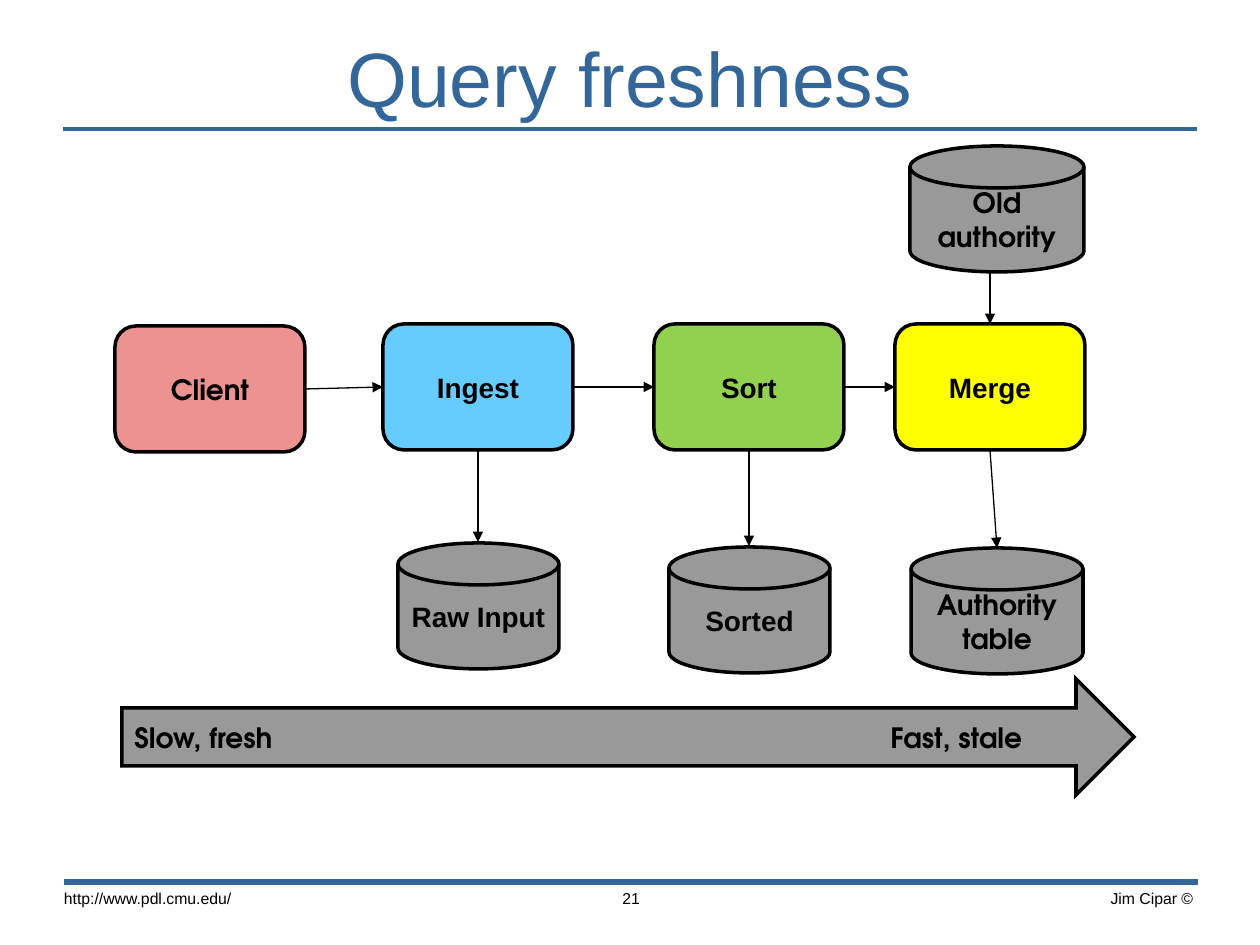
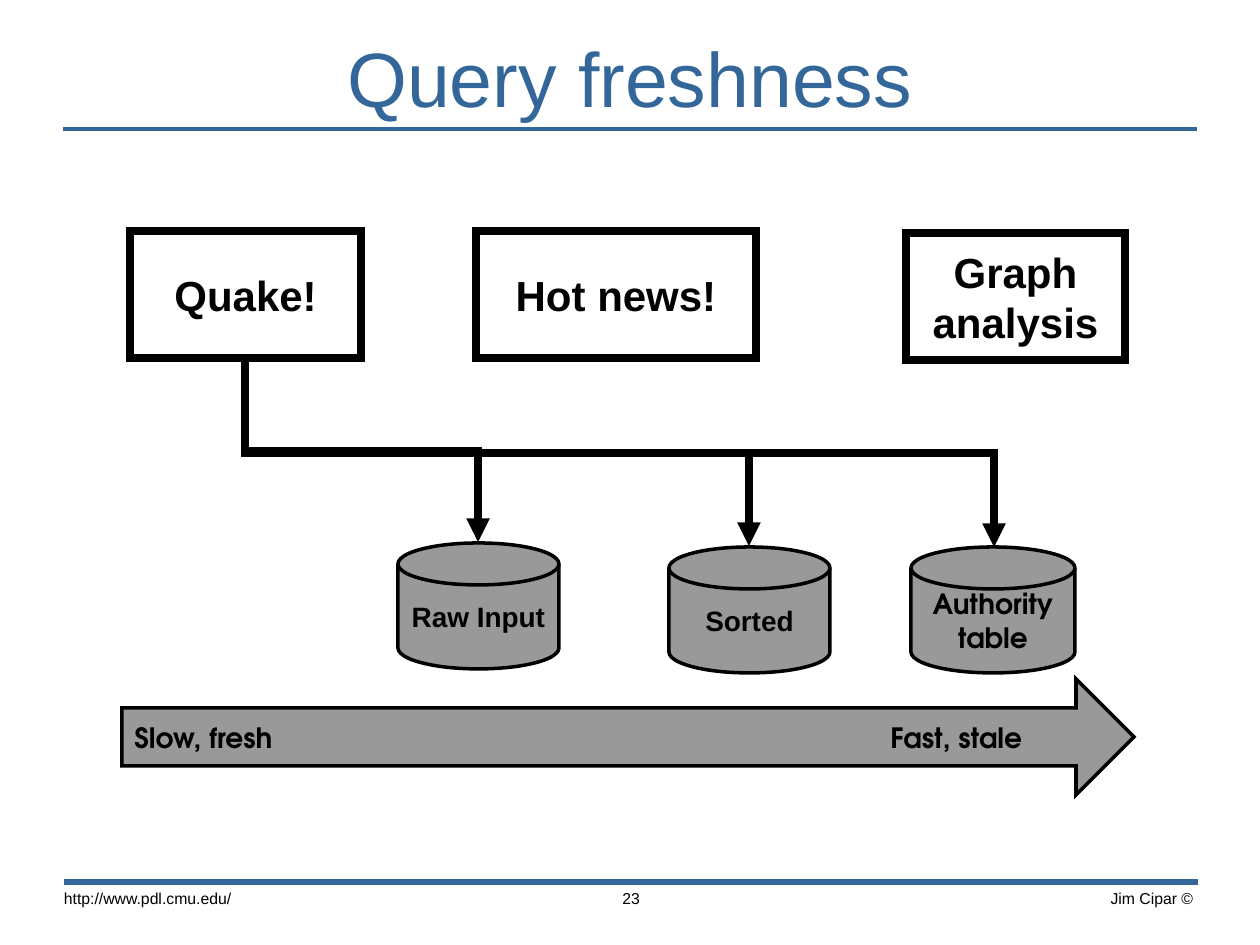
from lxml import etree
from pptx import Presentation
from pptx.dml.color import RGBColor
from pptx.enum.shapes import MSO_CONNECTOR, MSO_SHAPE
from pptx.enum.text import MSO_ANCHOR, PP_ALIGN
from pptx.oxml.ns import qn
from pptx.util import Pt

PX = 914400 / 126
SLIDE_W, SLIDE_H = 1260, 945

BLUE = RGBColor(0x33, 0x66, 0x99)
BLACK = RGBColor(0x00, 0x00, 0x00)
WHITE = RGBColor(0xFF, 0xFF, 0xFF)
GRAY = RGBColor(0x99, 0x99, 0x99)
SKY = RGBColor(0x66, 0xCC, 0xFF)
GREEN = RGBColor(0x92, 0xD0, 0x50)
YELLOW = RGBColor(0xFF, 0xFF, 0x00)
PINK = RGBColor(0xEC, 0x92, 0x90)

SANS = "Arial"
GEOMETRIC = "TeX Gyre Adventor"

LEFT, CENTER, RIGHT = PP_ALIGN.LEFT, PP_ALIGN.CENTER, PP_ALIGN.RIGHT
TOP_ANCHOR, MIDDLE = MSO_ANCHOR.TOP, MSO_ANCHOR.MIDDLE
STRAIGHT, ELBOW = MSO_CONNECTOR.STRAIGHT, MSO_CONNECTOR.ELBOW
RECT, ROUND_RECT = MSO_SHAPE.RECTANGLE, MSO_SHAPE.ROUNDED_RECTANGLE
DISK, RIGHT_ARROW = MSO_SHAPE.FLOWCHART_MAGNETIC_DISK, MSO_SHAPE.RIGHT_ARROW
TOP, LEFT_SIDE, BOTTOM, RIGHT_SIDE = range(4)


def px(n):
    return round(n * PX)


class Deck:
    def __init__(self):
        self.prs = Presentation()
        self.prs.slide_width = px(SLIDE_W)
        self.prs.slide_height = px(SLIDE_H)

    def slide(self, title, number):
        self.s = self.prs.slides.add_slide(self.prs.slide_layouts[6])
        self.line((63, 129), (1197, 129), 2, BLUE)
        self.line((64, 882), (1198, 882), 3.5, BLUE)
        self.footer(887, 320, "Jim Cipar ©", RIGHT)
        self.footer(50, 315, "http://www.pdl.cmu.edu/", LEFT)
        self.footer(508, 246, number, CENTER)
        self.text((0, 29, SLIDE_W, 95), title, 44, BLUE, CENTER, MIDDLE)

    def fill_text(self, tf, text, size, color, align, anchor, font=SANS, bold=False):
        tf.vertical_anchor = anchor
        for i, line in enumerate(text.split("\n")):
            p = tf.add_paragraph() if i else tf.paragraphs[0]
            p.alignment = align
            r = p.add_run()
            r.text = line
            r.font.size = Pt(size)
            r.font.name = font
            r.font.bold = bold
            r.font.color.rgb = color

    def text(self, box, text, size, color, align, anchor):
        tf = self.s.shapes.add_textbox(*map(px, box)).text_frame
        tf.word_wrap = True
        self.fill_text(tf, text, size, color, align, anchor)
        return tf

    def footer(self, x, width, text, align):
        tf = self.text((x, 881, width, 53), text, 9, BLACK, align, TOP_ANCHOR)
        tf.margin_left = tf.margin_right = px(14)
        tf.margin_top = tf.margin_bottom = px(8)

    def outline(self, line, width, color):
        line.color.rgb = color
        line.width = Pt(width)
        ln = line._get_or_add_ln()
        etree.SubElement(ln, qn("a:miter"), lim="800000")
        return ln

    def shape(self, kind, box, text, fill, font=SANS, size=16, width=2,
              align=CENTER, wrap=True):
        sp = self.s.shapes.add_shape(kind, *map(px, box))
        sp.shadow.inherit = False
        sp.fill.solid()
        sp.fill.fore_color.rgb = fill
        self.outline(sp.line, width, BLACK)
        sp.text_frame.word_wrap = wrap
        self.fill_text(sp.text_frame, text, size, BLACK, align, MIDDLE, font, True)
        return sp

    def disk(self, x, y, width, text, font=SANS):
        return self.shape(DISK, (x, y, width, 126), text, GRAY, font)

    def stage(self, x, y, text, fill, font=SANS):
        return self.shape(ROUND_RECT, (x, y, 190, 126), text, fill, font)

    def query(self, x, y, width, text):
        return self.shape(RECT, (x, y, width, 127), text, WHITE, size=24,
                          width=4.5, wrap=False)

    def line(self, start, end, width=0.75, color=BLACK, arrow=False, kind=STRAIGHT):
        c = self.s.shapes.add_connector(kind, *map(px, start + end))
        ln = self.outline(c.line, width, color)
        if arrow:
            etree.SubElement(ln, qn("a:tailEnd"), type="triangle")
        etree.SubElement(c._element.spPr, qn("a:effectLst"))
        return c

    def arrow(self, start, end, source=None, target=None):
        c = self.line(start, end, arrow=True)
        if source:
            c.begin_connect(*source)
        if target:
            c.end_connect(*target)

    def drop_arrow(self, start, end):
        (x1, y1), (x2, y2) = start, end
        cx, cy = (x1 + x2) / 2, (y1 + y2) / 2
        dx, dy = (x2 - x1) / 2, (y2 - y1) / 2
        c = self.line((cx - dy, cy - dx), (cx + dy, cy + dx), 4.5,
                      arrow=True, kind=ELBOW)
        xfrm = c._element.spPr.find(qn("a:xfrm"))
        xfrm.set("rot", "16200000")
        xfrm.set("flipH", "1")

    def freshness_scale(self):
        sp = self.shape(RIGHT_ARROW, (122, 679, 1012, 116),
                        "Slow, fresh\tFast, stale", GRAY, GEOMETRIC, align=LEFT)
        pPr = sp.text_frame.paragraphs[0]._p.get_or_add_pPr()
        tabs = etree.SubElement(pPr, qn("a:tabLst"))
        etree.SubElement(tabs, qn("a:tab"), pos=str(px(756)), algn="l")

    def stores(self, authority_y, authority_width):
        self.disk(398, 543, 161, "Raw Input")
        self.disk(669, 547, 161, "Sorted")
        self.disk(911, authority_y, authority_width, "Authority\ntable", GEOMETRIC)


def pipeline_slide(d):
    d.slide("Query freshness", "21")
    d.stores(548, 172)
    client = d.stage(115, 326, "Client", PINK, GEOMETRIC)
    ingest = d.stage(383, 324, "Ingest", SKY)
    sort = d.stage(654, 324, "Sort", GREEN)
    merge = d.stage(895, 324, "Merge", YELLOW)
    d.disk(910, 146, 174, "Old authority", GEOMETRIC)
    d.freshness_scale()
    for a, b in ((client, ingest), (ingest, sort), (sort, merge)):
        d.arrow((0, 0), (0, 0), (a, RIGHT_SIDE), (b, LEFT_SIDE))
    for stage, end in ((ingest, (478, 542)), (sort, (749, 546)), (merge, (997, 548))):
        d.arrow((end[0], 450), end, source=(stage, BOTTOM))
    d.arrow((990, 273), (990, 324), target=(merge, TOP))


def query_slide(d):
    d.slide("Query freshness", "23")
    d.stores(547, 164)
    d.query(906, 233, 219, "Graph\nanalysis")
    d.query(476, 231, 280, "Hot news!")
    d.query(130, 231, 231, "Quake!")
    for end in ((478, 542), (749, 546), (994, 547)):
        d.drop_arrow((245, 359), end)
    d.freshness_scale()


def main():
    d = Deck()
    pipeline_slide(d)
    query_slide(d)
    d.prs.save("out.pptx")


if __name__ == "__main__":
    main()
